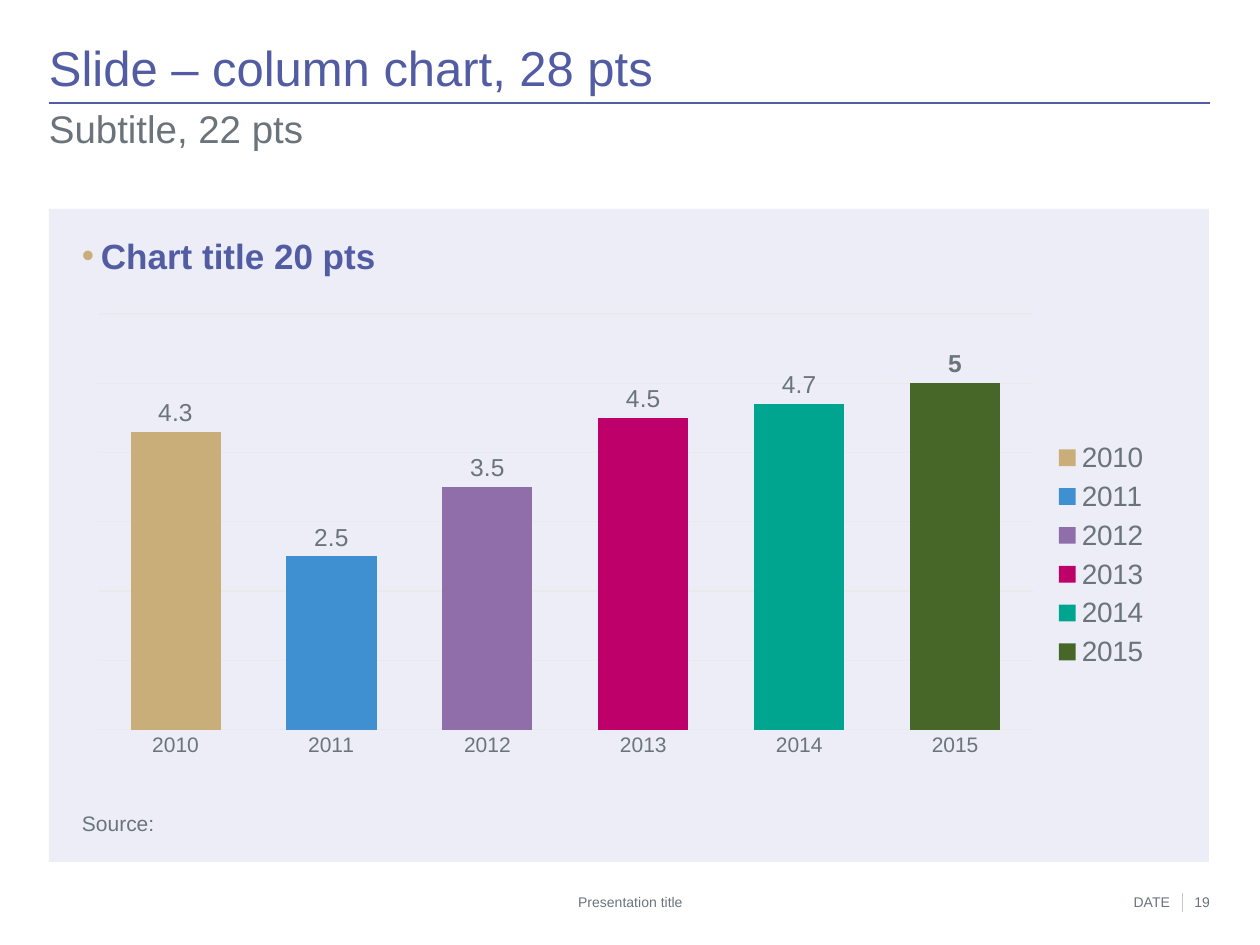
import pptx
import pptx.chart.data
import pptx.dml.color
import pptx.enum.chart
import pptx.enum.shapes
import pptx.enum.text
import pptx.oxml
import pptx.oxml.ns
import pptx.util

# Content
HUES = {"blue": "525CA3", "gray": "6B747B", "panel": "EDEDF7",
        "grid": "E9EAEB", "rule": "C3C7CB", "gold": "CAAE7A"}
BARS = [("2010", 4.3, "CAAE7A"), ("2011", 2.5, "3E90D0"), ("2012", 3.5, "8F6EAA"),
        ("2013", 4.5, "BE006B"), ("2014", 4.7, "00A590"), ("2015", 5, "476728")]
# text, box in px, size, colour, bold, align, line spacing, anchor
TEXTS = [
    ("Slide – column chart, 28 pts", (49, 44, 1160, 53), 28, "blue", False, "LEFT", 0.9, "MIDDLE"),
    ("Subtitle, 22 pts", (49, 110, 1160, 64), 22, "gray", False, "LEFT", 0.9, "TOP"),
    ("Chart title 20 pts", (82, 239, 539, 63), 20, "blue", True, "LEFT", 0.9, "TOP"),
    ("Source:", (82, 813, 370, 32), 12, "gray", False, "LEFT", 0.9, "TOP"),
    ("Presentation title", (173, 893, 915, 16), 8, "gray", False, "CENTER", 1, "TOP"),
    ("DATE", (1063, 893, 107, 16), 8, "gray", False, "RIGHT", 1, "TOP"),
    ("19", (1167, 893, 43, 16), 8, "gray", False, "RIGHT", 1, "TOP"),
]
LINES = [((49, 103), (1210, 103), "blue", 1.5),
         ((1182, 893), (1182, 912), "rule", 0.5)]
BULLET = "Chart title 20 pts"

# Chart frame in px, with the plot and legend boxes inside it
FRAME = (97, 278, 1143, 529)
PLOT = (97, 314, 936, 416)
LEGEND = (1050, 434, 102, 242)


def px(n):
    return round(n * 914400 / 126)


def rgb(name):
    return pptx.dml.color.RGBColor.from_string(HUES.get(name, name))


def style(font, size, hue, bold=False):
    font.name, font.size, font.bold = "Arial", pptx.util.Pt(size), bold
    font.color.rgb = rgb(hue)


def place(parent, spot, box, target=""):
    """Give a chart part a fixed box, as shares of the chart frame."""
    for old in parent.findall(pptx.oxml.ns.qn("c:layout")):
        parent.remove(old)
    left, top, wide, high = FRAME
    shares = {"x": (box[0] - left) / wide, "y": (box[1] - top) / high,
              "w": box[2] / wide, "h": box[3] / high}
    body = "".join(f'<c:{key} val="{val:.3f}"/>' for key, val in shares.items())
    parent.insert(spot, pptx.oxml.parse_xml(
        f"<c:layout {pptx.oxml.ns.nsdecls('c')}><c:manualLayout>{target}"
        f'<c:xMode val="edge"/><c:yMode val="edge"/>{body}'
        "</c:manualLayout></c:layout>"))


def add_rule(start, end, hue, width):
    line = slide.shapes.add_connector(
        pptx.enum.shapes.MSO_CONNECTOR.STRAIGHT, *map(px, start + end))
    line.line.color.rgb = rgb(hue)
    line.line.width = pptx.util.Pt(width)
    line._element.spPr.append(
        pptx.oxml.parse_xml(f"<a:effectLst {pptx.oxml.ns.nsdecls('a')}/>"))


def add_text(text, box, size, hue, bold, align, space, anchor):
    frame = slide.shapes.add_textbox(*map(px, box)).text_frame
    frame.word_wrap = True
    frame.margin_left = frame.margin_right = frame.margin_top = frame.margin_bottom = 0
    frame.vertical_anchor = getattr(pptx.enum.text.MSO_ANCHOR, anchor)
    para = frame.paragraphs[0]
    para.alignment = getattr(pptx.enum.text.PP_ALIGN, align)
    para.line_spacing = space
    if text == BULLET:
        props = para._p.get_or_add_pPr()
        props.set("marL", str(px(19)))
        props.set("indent", str(px(-19)))
        names = pptx.oxml.ns.nsdecls("a")
        for part in (f'<a:buClr {names}><a:srgbClr val="{HUES["gold"]}"/></a:buClr>',
                     f'<a:buFont {names} typeface="Arial"/>',
                     f'<a:buChar {names} char="•"/>'):
            props.append(pptx.oxml.parse_xml(part))
    run = para.add_run()
    run.text = text
    style(run.font, size, hue, bold)


def add_bars():
    data = pptx.chart.data.CategoryChartData()
    data.categories = [year for year, _, _ in BARS]
    data.add_series("Series 1", [value for _, value, _ in BARS])
    kinds = pptx.enum.chart
    chart = slide.shapes.add_chart(kinds.XL_CHART_TYPE.COLUMN_CLUSTERED,
                                   *map(px, FRAME), data).chart
    style(chart.font, 10, "gray")
    chart.has_title = False

    # Legend and axes
    chart.has_legend = True
    chart.legend.position = kinds.XL_LEGEND_POSITION.RIGHT
    chart.legend.include_in_layout = False
    style(chart.legend.font, 16, "gray")
    place(chart.legend._element, 1, LEGEND)
    cats, vals = chart.category_axis, chart.value_axis
    cats.major_tick_mark = kinds.XL_TICK_MARK.NONE
    style(cats.tick_labels.font, 12, "gray")
    vals.minimum_scale, vals.maximum_scale, vals.major_unit = 0, 6, 1
    vals.visible = False
    vals.has_major_gridlines = True
    for line in (cats.format.line, vals.major_gridlines.format.line):
        line.color.rgb = rgb("grid")
        line.width = pptx.util.Pt(0.75)

    # Plot area
    plot = chart.plots[0]
    plot.gap_width, plot.overlap, plot.vary_by_categories = 73, -29, True
    place(chart._chartSpace.chart.plotArea, 0, PLOT,
          '<c:layoutTarget val="inner"/>')

    # Bars and their labels; the last label is bold
    for i, (_, _, hue) in enumerate(BARS):
        point = plot.series[0].points[i]
        point.format.fill.solid()
        point.format.fill.fore_color.rgb = rgb(hue)
        label = point.data_label
        style(label.font, 14, "gray", i == len(BARS) - 1)
        label.position = kinds.XL_LABEL_POSITION.OUTSIDE_END


deck = pptx.Presentation()
deck.slide_width, deck.slide_height = px(1260), px(945)
slide = deck.slides.add_slide(deck.slide_layouts[6])

# Panel
panel = slide.shapes.add_shape(pptx.enum.shapes.MSO_SHAPE.RECTANGLE,
                               *map(px, (49, 209, 1160, 653)))
panel.shadow.inherit = False
panel.fill.solid()
panel.fill.fore_color.rgb = rgb("panel")
panel.line.fill.background()

# Rules, texts and chart
for item in LINES:
    add_rule(*item)
for item in TEXTS:
    add_text(*item)
add_bars()
deck.save("out.pptx")
